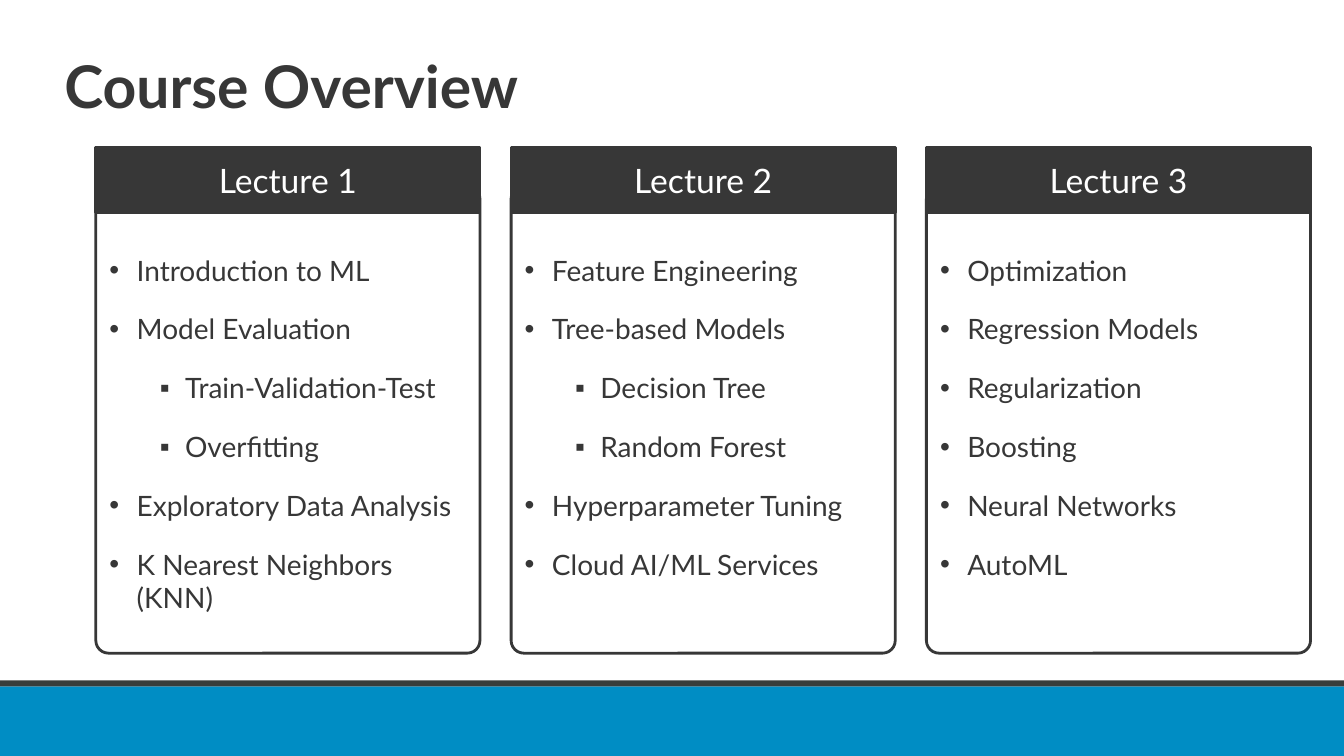
from lxml.etree import SubElement
from pptx import Presentation
from pptx.dml.color import RGBColor
from pptx.enum.shapes import MSO_SHAPE
from pptx.enum.text import MSO_ANCHOR, PP_ALIGN
from pptx.oxml.ns import qn
from pptx.util import Inches, Pt

COLORS = {"ink": "373737", "rule": "383D3B", "band": "008DC4", "paper": "FFFFFF"}

# Bullet sign, left margin and hanging indent in inches, by outline level
BULLETS = [("•", 0.27, 0.27), ("▪", 0.75, 0.25)]

LECTURES = [
    ("Lecture 1", [
        (0, "Introduction to ML"), (0, "Model Evaluation"),
        (1, "Train-Validation-Test"), (1, "Overfitting"),
        (0, "Exploratory Data Analysis"), (0, "K Nearest Neighbors (KNN)")]),
    ("Lecture 2", [
        (0, "Feature Engineering"), (0, "Tree-based Models"),
        (1, "Decision Tree"), (1, "Random Forest"),
        (0, "Hyperparameter Tuning"), (0, "Cloud AI/ML Services")]),
    ("Lecture 3", [
        (0, "Optimization"), (0, "Regression Models"), (0, "Regularization"),
        (0, "Boosting"), (0, "Neural Networks"), (0, "AutoML")]),
]


class Deck:
    """Style and current slide; places are on a grid of 100 columns by 100 rows."""

    font = "Lato"

    def __init__(self):
        self.show = Presentation()
        self.show.slide_width, self.show.slide_height = Inches(13.33), Inches(7.5)
        self.slide = self.show.slides.add_slide(self.show.slide_layouts[6])

    def place(self, left, top, width, height):
        column, row = self.show.slide_width / 100, self.show.slide_height / 100
        return [round(n) for n in (left * column, top * row, width * column, height * row)]

    def color(self, name):
        return RGBColor.from_string(COLORS[name])

    def add_text(self, paragraph, text, size, color, bold=False):
        run = paragraph.add_run()
        run.text = text
        run.font.name, run.font.size, run.font.bold = self.font, Pt(size), bold
        run.font.color.rgb = self.color(color)

    def block(self, area, fill, line=None, kind=MSO_SHAPE.RECTANGLE):
        block = self.slide.shapes.add_shape(kind, *self.place(*area))
        block.shadow.inherit = False
        block.fill.solid()
        block.fill.fore_color.rgb = self.color(fill)
        if line:
            block.line.color.rgb = self.color(line)
            block.line.width = Pt(2)
        else:
            block.line.fill.background()
        return block

    def title(self, area, text):
        frame = self.slide.shapes.add_textbox(*self.place(*area)).text_frame
        frame.word_wrap = True
        frame.paragraphs[0].line_spacing = 0.9
        self.add_text(frame.paragraphs[0], text, 42, "ink", bold=True)

    def heading(self, area, text):
        frame = self.block(area, "ink", "ink").text_frame
        frame.vertical_anchor = MSO_ANCHOR.MIDDLE
        frame.paragraphs[0].alignment = PP_ALIGN.CENTER
        self.add_text(frame.paragraphs[0], text, 24, "paper")

    def topics(self, area, items):
        panel = self.block(area, "paper", "ink", MSO_SHAPE.ROUNDED_RECTANGLE)
        panel.adjustments[0] = 0.033
        frame = panel.text_frame
        frame.word_wrap = True
        frame.vertical_anchor = MSO_ANCHOR.TOP
        frame.margin_top = Inches(0.63)
        for index, (level, text) in enumerate(items):
            paragraph = frame.add_paragraph() if index else frame.paragraphs[0]
            paragraph.alignment = PP_ALIGN.LEFT
            paragraph.level = level
            if index:
                paragraph.space_before = Pt(18)
            self.bullet(paragraph, *BULLETS[level])
            self.add_text(paragraph, text, 20, "ink")

    def bullet(self, paragraph, sign, margin, hanging):
        properties = paragraph._p.get_or_add_pPr()
        properties.set("marL", str(Inches(margin)))
        properties.set("indent", str(-Inches(hanging)))
        SubElement(properties, qn("a:buFont")).set("typeface", "Arial")
        SubElement(properties, qn("a:buChar")).set("char", sign)


def main():
    deck = Deck()

    # Footer band with its rule
    deck.block((0, 90.8, 100, 9.2), "band")
    deck.block((0, 90, 100, 0.8), "rule")

    # Title
    deck.title((4.05, 6.93, 86.27, 14.53), "Course Overview")

    # One card per lecture, in equal steps
    first, step, width = 7.13, 30.9, 28.58
    for index, (lecture, items) in enumerate(LECTURES):
        left = first + index * step
        deck.topics((left, 24.6, width, 61.8), items)
        deck.heading((left, 19.47, width, 8.67), lecture)

    deck.show.save("out.pptx")


if __name__ == "__main__":
    main()
